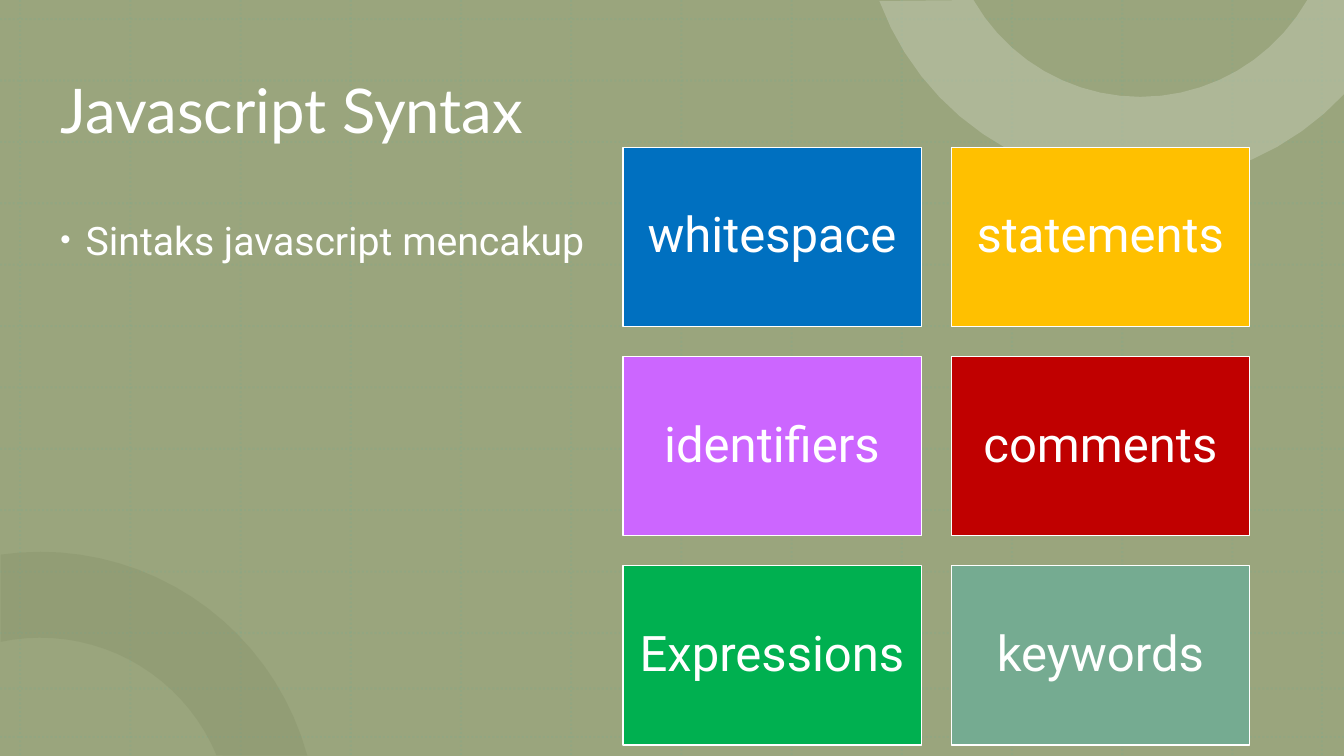
"""Build the Javascript syntax slide with its six coloured cards."""
import math
from dataclasses import dataclass

from lxml import etree
from pptx import Presentation
from pptx import util as u
from pptx.dml.color import RGBColor
from pptx.enum import dml, shapes, text
from pptx.oxml.ns import qn

WIDTH, HEIGHT = u.Inches(13.33), u.Inches(7.5)
WHITE = RGBColor(0xFF, 0xFF, 0xFF)
SAGE = RGBColor(0x9A, 0xA5, 0x7D)
PALE_SAGE = RGBColor(0xC2, 0xC9, 0xB1)
DARK_SAGE = RGBColor(0x76, 0x81, 0x59)
TEAL = RGBColor(0x75, 0xAB, 0x91)
BLUE = RGBColor(0x00, 0x70, 0xC0)
AMBER = RGBColor(0xFF, 0xC0, 0x00)
VIOLET = RGBColor(0xCC, 0x66, 0xFF)
RED = RGBColor(0xC0, 0x00, 0x00)
GREEN = RGBColor(0x00, 0xB0, 0x50)
HEADING_FONT, BODY_FONT = "Lato", "Roboto"

GRID_COLUMNS = [1.5 + 8.2 * step for step in range(12)] + [98.35]
GRID_ROWS = [2.53 + 8.12 * step for step in range(11)] + [91.07, 97.47]
ARC_SEGMENTS = 20
CARD_COLUMNS = 2
CARD_LEFT, CARD_TOP = 46.35, 19.5
CARD_WIDTH, CARD_HEIGHT = 22.2, 23.7
CARD_PITCH_X, CARD_PITCH_Y = 24.43, 27.67


@dataclass(frozen=True)
class Card:
    label: str
    color: RGBColor


@dataclass(frozen=True)
class Ring:
    center: tuple[float, float]
    outer: float
    inner: float
    color: RGBColor
    opacity: int
    corners: tuple[tuple[int, int], ...] = ()


CARDS = [
    Card("whitespace", BLUE), Card("statements", AMBER),
    Card("identifiers", VIOLET), Card("comments", RED),
    Card("Expressions", GREEN), Card("keywords", TEAL),
]
RINGS = [
    Ring((3, 109.6), 20.6, 14.2, DARK_SAGE, 20),
    Ring((84.85, -12.6), 20.7, 14.3, PALE_SAGE, 50, ((WIDTH, 0),)),
]


def across(percent: float) -> int:
    """Return a percentage of the slide's width."""
    return round(WIDTH * percent / 100)


def down(percent: float) -> int:
    """Return a percentage of the slide's height."""
    return round(HEIGHT * percent / 100)


def fade(shape, opacity: int) -> None:
    """Make the shape's colours partly transparent."""
    for color in shape._element.iter(qn("a:srgbClr")):
        etree.SubElement(color, qn("a:alpha"), val=str(opacity * 1000))


def add_grid_line(slide, start: tuple[int, int], end: tuple[int, int]) -> None:
    """Draw one faint dotted line of the background grid."""
    line = slide.shapes.add_connector(shapes.MSO_CONNECTOR.STRAIGHT, *start, *end)
    line.line.color.rgb = TEAL
    line.line.width = u.Pt(1.5)
    line.line.dash_style = dml.MSO_LINE.ROUND_DOT
    etree.SubElement(line._element.spPr, qn("a:effectLst"))
    fade(line, 20)


def visible_arc(ring: Ring, radius: float) -> list[tuple[int, int]]:
    """Return evenly spaced points of the arc that falls on the slide."""
    angles = [math.radians(step / 4) for step in range(360 * 4)]
    points = [
        (round(across(ring.center[0]) + across(radius) * math.cos(angle)),
         round(down(ring.center[1]) + across(radius) * math.sin(angle)))
        for angle in angles
    ]
    visible = [(x, y) for x, y in points if 0 <= x <= WIDTH and 0 <= y <= HEIGHT]
    last = len(visible) - 1
    return [visible[last * step // ARC_SEGMENTS] for step in range(ARC_SEGMENTS + 1)]


def add_ring(slide, ring: Ring) -> None:
    """Draw the part of a ring that falls on the slide."""
    outer = visible_arc(ring, ring.outer)
    inner = visible_arc(ring, ring.inner)
    outline = [*outer, *reversed(inner), *ring.corners]
    builder = slide.shapes.build_freeform(*outline[0])
    builder.add_line_segments(outline[1:], close=True)
    shape = builder.convert_to_shape()
    shape.shadow.inherit = False
    shape.fill.solid()
    shape.fill.fore_color.rgb = ring.color
    shape.line.fill.background()
    fade(shape, ring.opacity)


def write(shape, words: str, font: str, size: int, spacing: float):
    """Put one white paragraph in a shape and return it."""
    frame = shape.text_frame
    frame.text = words
    frame.word_wrap = True
    frame.auto_size = text.MSO_AUTO_SIZE.NONE
    paragraph = frame.paragraphs[0]
    paragraph.line_spacing = spacing
    paragraph.alignment = text.PP_ALIGN.LEFT
    paragraph.font.name = font
    paragraph.font.size = u.Pt(size)
    paragraph.font.color.rgb = WHITE
    return paragraph


def place(slide, shape, top: float, height: float) -> None:
    """Position a placeholder and bring it to the front."""
    shape.left, shape.width = across(3.75), across(88)
    shape.top, shape.height = down(top), down(height)
    slide.shapes._spTree.append(shape._element)


def add_bullet(paragraph) -> None:
    """Give a paragraph a small white hanging bullet."""
    properties = paragraph._p.get_or_add_pPr()
    properties.set("marL", str(u.Inches(0.25)))
    properties.set("indent", str(-u.Inches(0.25)))
    color = etree.Element(qn("a:buClr"))
    etree.SubElement(color, qn("a:srgbClr"), val=str(WHITE))
    bullet = [
        color,
        etree.Element(qn("a:buSzPct"), val="75000"),
        etree.Element(qn("a:buFont"), typeface="Arial"),
        etree.Element(qn("a:buChar"), char="•"),
    ]
    defaults = properties.find(qn("a:defRPr"))
    for element in bullet:
        defaults.addprevious(element)


def add_card(slide, card: Card, index: int) -> None:
    """Draw one labelled card in its cell."""
    row, column = divmod(index, CARD_COLUMNS)
    shape = slide.shapes.add_shape(
        shapes.MSO_SHAPE.RECTANGLE,
        across(CARD_LEFT + column * CARD_PITCH_X), down(CARD_TOP + row * CARD_PITCH_Y),
        across(CARD_WIDTH), down(CARD_HEIGHT),
    )
    shape.shadow.inherit = False
    shape.fill.solid()
    shape.fill.fore_color.rgb = card.color
    shape.line.color.rgb = WHITE
    shape.line.width = u.Pt(1)
    frame = shape.text_frame
    frame.margin_left = frame.margin_right = u.Inches(0.15)
    frame.margin_top = frame.margin_bottom = u.Inches(0.15)
    frame.vertical_anchor = text.MSO_ANCHOR.MIDDLE
    paragraph = write(shape, card.label, BODY_FONT, 35, 0.9)
    paragraph.alignment = text.PP_ALIGN.CENTER


def main() -> None:
    """Assemble and save the slide."""
    presentation = Presentation()
    presentation.slide_width, presentation.slide_height = WIDTH, HEIGHT
    slide = presentation.slides.add_slide(presentation.slide_layouts[1])
    slide.background.fill.solid()
    slide.background.fill.fore_color.rgb = SAGE
    for column in GRID_COLUMNS:
        add_grid_line(slide, (across(column), 0), (across(column), HEIGHT))
    for row in GRID_ROWS:
        add_grid_line(slide, (0, down(row)), (WIDTH, down(row)))
    for ring in RINGS:
        add_ring(slide, ring)
    title, body = slide.shapes.title, slide.placeholders[1]
    place(slide, title, 5.33, 19.33)
    title.text_frame.vertical_anchor = text.MSO_ANCHOR.MIDDLE
    write(title, "Javascript Syntax", HEADING_FONT, 44, 0.9)
    place(slide, body, 27.33, 63.47)
    bullet = write(body, "Sintaks javascript mencakup", BODY_FONT, 28, 1.1)
    bullet.space_before = u.Pt(10)
    add_bullet(bullet)
    for index, card in enumerate(CARDS):
        add_card(slide, card, index)
    presentation.save("out.pptx")


if __name__ == "__main__":
    main()
